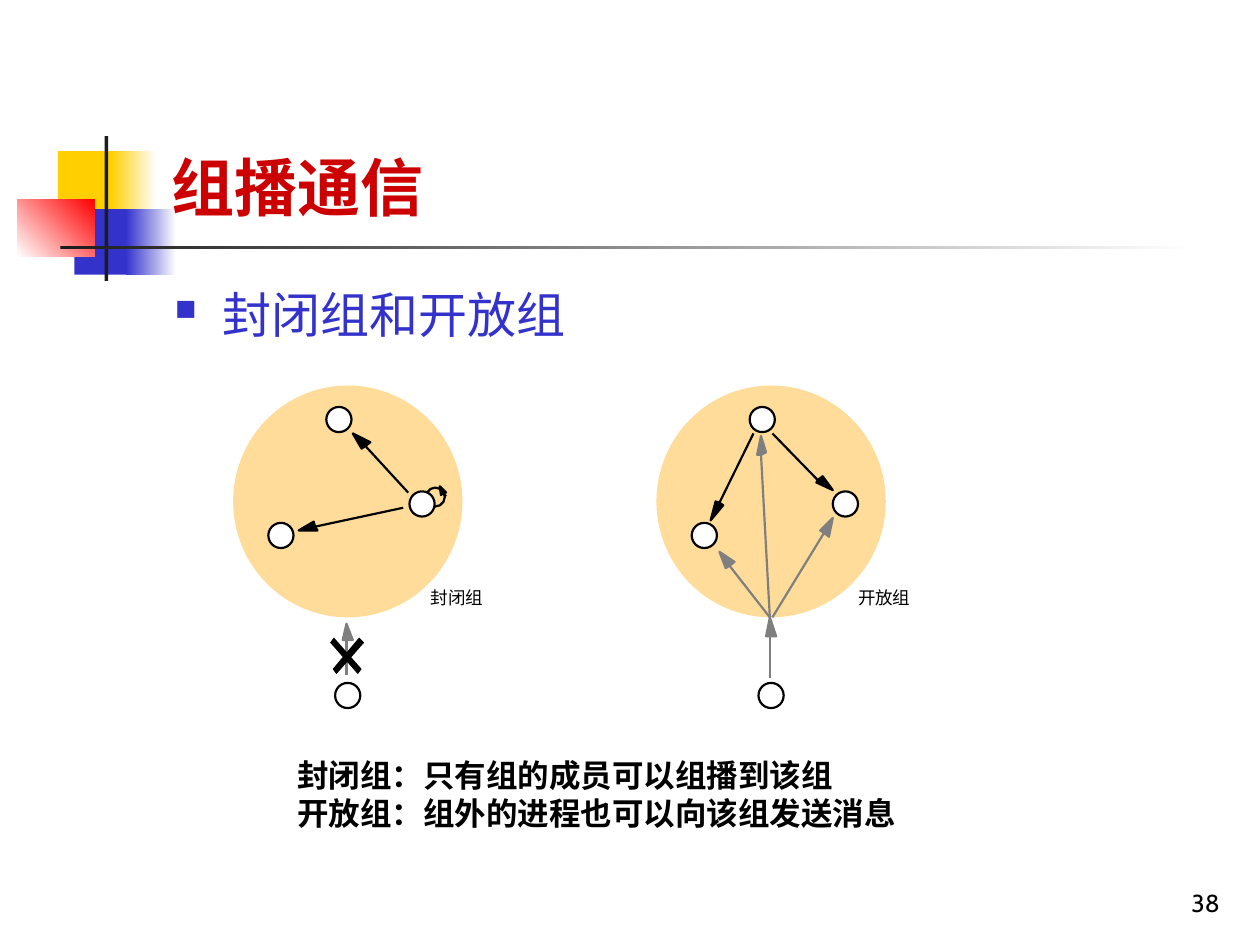
from dataclasses import dataclass

from lxml import etree
from pptx import Presentation
from pptx import util as u
from pptx.dml.color import RGBColor
from pptx.enum import shapes, text
from pptx.oxml.ns import qn


@dataclass(frozen=True)
class Theme:
    black: str = "000000"
    white: str = "FFFFFF"
    ink: str = "1C1C1C"
    gray: str = "7F7F7F"
    yellow: str = "FFCF01"
    blue: str = "3333CC"
    red: str = "FF0000"
    title: str = "CC0000"
    group: str = "FFDC99"
    title_size: int = 36
    body_size: int = 28
    note_size: int = 18
    number_size: int = 14
    label_size: int = 10
    line_width: float = 1.25
    title_font: str = "Noto Sans CJK JP"
    body_font: str = "Times New Roman"
    note_font: str = "Cabin"
    label_font: str = "Arial"


class SlideBuilder:
    def __init__(self, page, theme):
        self.page = page
        self.theme = theme

    def paint(self, shape, fill=None, line=None):
        shape.shadow.inherit = False
        if fill:
            shape.fill.solid()
            shape.fill.fore_color.rgb = RGBColor.from_string(fill)
        else:
            shape.fill.background()
        if line:
            shape.line.color.rgb = RGBColor.from_string(line)
            shape.line.width = u.Pt(self.theme.line_width)
        else:
            shape.line.fill.background()

    def preset(self, kind, place, fill=None, line=None):
        shape = self.page.shapes.add_shape(kind, *map(u.Inches, place))
        self.paint(shape, fill, line)
        return shape

    def block(self, place, fill):
        return self.preset(shapes.MSO_SHAPE.RECTANGLE, place, fill)

    def fade(self, place, start, end, angle=0):
        shape = self.block(place, start)
        shape.fill.gradient()
        shape.fill.gradient_angle = angle
        for stop, color in zip(shape.fill.gradient_stops, (start, end)):
            stop.color.rgb = RGBColor.from_string(color)

    def circle(self, left, top, width, height, fill=None, line=None):
        self.preset(shapes.MSO_SHAPE.OVAL, (left, top, width, height), fill, line)

    def node(self, left, top):
        self.circle(left, top, 0.2, 0.2, self.theme.white, self.theme.black)

    def polygon(self, points, fill, line=None):
        start, *rest = [(u.Inches(x), u.Inches(y)) for x, y in points]
        builder = self.page.shapes.build_freeform(*start)
        builder.add_line_segments(rest, close=True)
        self.paint(builder.convert_to_shape(), fill, line)

    def arrow(self, start, head, color):
        self.polygon(head, color, color)
        ends = map(u.Inches, (*start, *head[0]))
        line = self.page.shapes.add_connector(shapes.MSO_CONNECTOR.STRAIGHT, *ends)
        line.line.color.rgb = RGBColor.from_string(color)
        line.line.width = u.Pt(self.theme.line_width)
        etree.SubElement(line._element.spPr, qn("a:effectLst"))

    def textbox(self, place, lines, font, size, color, bold=False, wrap=True,
                inset=True, anchor=text.MSO_ANCHOR.TOP, align=text.PP_ALIGN.LEFT):
        box = self.page.shapes.add_textbox(*map(u.Inches, place))
        frame = box.text_frame
        frame.word_wrap = wrap
        frame.vertical_anchor = anchor
        frame.margin_left = frame.margin_right = u.Inches(0.1 if inset else 0)
        frame.margin_top = frame.margin_bottom = u.Inches(0.05 if inset else 0)
        frame.text = "\n".join(lines)
        for paragraph in frame.paragraphs:
            paragraph.alignment = align
            paragraph.font.name = font
            paragraph.font.size = u.Pt(size)
            paragraph.font.bold = bold
            paragraph.font.color.rgb = RGBColor.from_string(color)
        return frame

    def bullet(self, paragraph, mark, color, percent, indent):
        paragraph.space_before = u.Pt(7)
        props = paragraph._p.get_or_add_pPr()
        props.set("marL", str(u.Inches(indent)))
        props.set("indent", str(-u.Inches(indent)))
        tint = etree.Element(qn("a:buClr"))
        etree.SubElement(tint, qn("a:srgbClr"), val=color)
        size = etree.Element(qn("a:buSzPct"), val=str(percent * 1000))
        char = etree.Element(qn("a:buChar"), char=mark)
        defaults = props.find(qn("a:defRPr"))
        for item in (tint, size, char):
            defaults.addprevious(item)


def draw_frame(slide, theme):
    slide.block((0.46, 1.2, 0.48, 0.52), theme.yellow)
    slide.fade((0.88, 1.2, 0.36, 0.52), theme.yellow, theme.white)
    slide.block((0.59, 1.66, 0.46, 0.52), theme.blue)
    slide.fade((1, 1.66, 0.4, 0.52), theme.blue, theme.white)
    slide.fade((0.14, 1.58, 0.61, 0.46), theme.white, theme.red, 45)
    slide.block((0.83, 1.08, 0.03, 1.15), theme.ink)
    slide.fade((0.48, 1.95, 9, 0.03), theme.ink, theme.white)
    slide.textbox((7.7, 6.83, 2.08, 0.5), ["38"], theme.note_font, theme.number_size,
                  theme.black, anchor=text.MSO_ANCHOR.BOTTOM, align=text.PP_ALIGN.RIGHT)
    slide.textbox((1.26, 0.23, 8.52, 1.6), ["组播通信"], theme.title_font, theme.title_size,
                  theme.title, bold=True, anchor=text.MSO_ANCHOR.BOTTOM)
    body = slide.textbox((1.29, 2.21, 8.5, 4.5), ["封闭组和开放组"], theme.body_font,
                         theme.body_size, theme.blue)
    slide.bullet(body.paragraphs[0], "■", theme.blue, 60, 0.38)


def draw_groups(slide, theme):
    black, gray = theme.black, theme.gray
    group_gap = 3.36
    for shift in (0, group_gap):
        slide.circle(1.85 + shift, 3.06, 1.82, 1.84, theme.group)
    slide.circle(3.38, 3.87, 0.15, 0.15, line=black)
    for shift in (0, group_gap):
        for left, top in ((2.59, 3.23), (2.13, 4.15), (2.66, 5.42), (3.25, 3.9)):
            slide.node(left + shift, top)

    closed_arrows = [
        ((2.75, 5.36), [(2.75, 5.08), (2.72, 5.08), (2.75, 4.95), (2.8, 5.08)], gray),
        ((3.24, 3.91), [(2.9, 3.54), (2.87, 3.56), (2.8, 3.44), (2.94, 3.51)], black),
        ((3.54, 3.94), [(3.52, 3.91), (3.5, 3.93), (3.49, 3.86), (3.54, 3.91)], black),
        ((3.2, 4.03), [(2.5, 4.18), (2.52, 4.21), (2.37, 4.21), (2.49, 4.14)], black),
    ]
    open_arrows = [
        ((6.11, 5.38), [(6.11, 5.05), (6.08, 5.05), (6.11, 4.9), (6.16, 5.05)], gray),
        ((6.11, 4.9), [(6.04, 3.61), (6.01, 3.61), (6.04, 3.46), (6.08, 3.59)], gray),
        ((6.11, 4.9), [(5.79, 4.49), (5.76, 4.51), (5.71, 4.38), (5.83, 4.46)], gray),
        ((6.13, 4.9), [(6.54, 4.23), (6.51, 4.21), (6.61, 4.11), (6.58, 4.26)], gray),
        ((5.98, 3.44), [(5.71, 3.99), (5.74, 4.01), (5.64, 4.13), (5.68, 3.98)], black),
        ((6.13, 3.44), [(6.49, 3.81), (6.53, 3.78), (6.61, 3.89), (6.48, 3.83)], black),
    ]
    for start, head, color in closed_arrows + open_arrows:
        slide.arrow(start, head, color)

    cross_bars = [
        [(2.85, 5.06), (2.89, 5.1), (2.67, 5.35), (2.64, 5.31)],
        [(2.65, 5.06), (2.62, 5.1), (2.84, 5.35), (2.87, 5.31)],
    ]
    for bar in cross_bars:
        slide.polygon(bar, black)

    for left, label in ((3.42, "封闭组"), (6.81, "开放组")):
        slide.textbox((left, 4.66, 0.42, 0.17), [label], theme.label_font,
                      theme.label_size, black, wrap=False, inset=False)
    notes = ["封闭组：只有组的成员可以组播到该组", "开放组：组外的进程也可以向该组发送消息"]
    slide.textbox((2.26, 5.95, 4.95, 0.7), notes, theme.note_font, theme.note_size,
                  black, bold=True, wrap=False)


def main():
    deck = Presentation()
    deck.slide_width, deck.slide_height = u.Inches(10), u.Inches(7.5)
    theme = Theme()
    slide = SlideBuilder(deck.slides.add_slide(deck.slide_layouts[6]), theme)
    draw_frame(slide, theme)
    draw_groups(slide, theme)
    deck.save("out.pptx")


if __name__ == "__main__":
    main()
